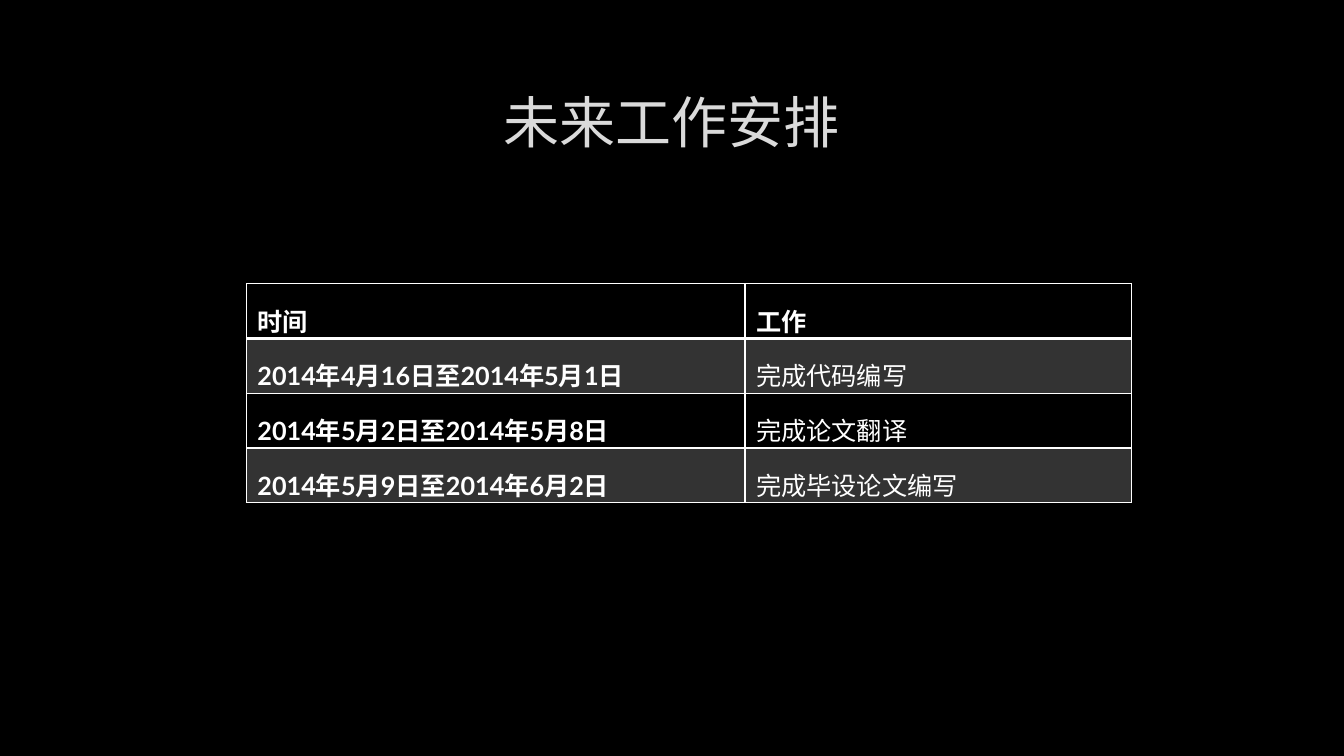
import pptx
import pptx.dml.color
import pptx.enum.text
import pptx.oxml
import pptx.oxml.ns
import pptx.util

COLORS = {
    "background": "000000",
    "title": "DADADA",
    "outline": "404040",
    "light": "FFFFFF",
}

SCHEDULE = [
    ("时间", "工作"),
    ("2014年4月16日至2014年5月1日", "完成代码编写"),
    ("2014年5月2日至2014年5月8日", "完成论文翻译"),
    ("2014年5月9日至2014年6月2日", "完成毕设论文编写"),
]


def points(value):
    return pptx.util.Pt(value)


def color(name):
    return pptx.dml.color.RGBColor.from_string(COLORS[name])


def line_xml(tag, width, color_name, alpha=100):
    return pptx.oxml.parse_xml(
        f'<a:{tag} {pptx.oxml.ns.nsdecls("a")} w="{int(points(width))}">'
        f'<a:solidFill><a:srgbClr val="{COLORS[color_name]}">'
        f'<a:alpha val="{alpha * 1000}"/></a:srgbClr></a:solidFill>'
        f'<a:prstDash val="solid"/></a:{tag}>'
    )


class SlideBuilder:
    font_name = "Lato"
    cell_format = {
        "margin_left": points(7.92),
        "margin_right": points(7.92),
        "margin_top": 0,
        "margin_bottom": 0,
    }

    def __init__(self, presentation):
        self.slide = presentation.slides.add_slide(presentation.slide_layouts[5])
        fill = self.slide.background.fill
        fill.solid()
        fill.fore_color.rgb = color("background")

    def apply(self, target, values):
        for name, value in values.items():
            setattr(target, name, value)

    def add_text(self, frame, text, size, color_name, bold, paragraph_format):
        paragraph = frame.paragraphs[0]
        self.apply(paragraph, paragraph_format)
        run = paragraph.add_run()
        run.text = text
        self.apply(run.font, {"name": self.font_name, "size": points(size), "bold": bold})
        run.font.color.rgb = color(color_name)
        return run

    def title(self, text, left, top, width, height):
        shape = self.slide.shapes.title
        self.apply(shape, {
            "left": points(left), "top": points(top),
            "width": points(width), "height": points(height),
        })
        self.apply(shape.text_frame, {
            "word_wrap": True,
            "vertical_anchor": pptx.enum.text.MSO_ANCHOR.MIDDLE,
        })
        run = self.add_text(shape.text_frame, text, 40, "title", False,
                            {"alignment": pptx.enum.text.PP_ALIGN.CENTER})
        run._r.get_or_add_rPr().insert(0, line_xml("ln", 0.75, "outline", 10))

    def table(self, rows, left, top, column_widths, row_height):
        shape = self.slide.shapes.add_table(
            len(rows), len(column_widths), points(left), points(top),
            points(sum(column_widths)), points(row_height * len(rows)))
        table = shape.table
        self.apply(table, {"first_row": False, "horz_banding": False})
        for column, width in zip(table.columns, column_widths):
            column.width = points(width)
        for row_index, texts in enumerate(rows):
            table.rows[row_index].height = points(row_height)
            for column_index, text in enumerate(texts):
                self.cell(table.cell(row_index, column_index), text,
                          bold=row_index == 0 or column_index == 0,
                          banded=row_index % 2 == 1,
                          top_width=2 if row_index == 1 else 1,
                          bottom_width=2 if row_index == 0 else 1)

    def cell(self, cell, text, bold, banded, top_width, bottom_width):
        self.apply(cell, self.cell_format)
        self.add_text(cell.text_frame, text, 18, "light", bold, {
            "alignment": pptx.enum.text.PP_ALIGN.JUSTIFY,
            "line_spacing": 1.5,
        })
        # Borders come before the fill in the cell properties
        properties = cell._tc.get_or_add_tcPr()
        borders = {"lnL": 1, "lnR": 1, "lnT": top_width, "lnB": bottom_width}
        for tag, width in borders.items():
            properties.append(line_xml(tag, width, "light"))
        if banded:
            cell.fill.solid()
            cell.fill.fore_color.rgb = color("light")
            tint = properties.find(pptx.oxml.ns.qn("a:solidFill"))[0]
            tint.append(pptx.oxml.parse_xml(
                f'<a:alpha {pptx.oxml.ns.nsdecls("a")} val="20000"/>'))
        else:
            cell.fill.background()


def main():
    presentation = pptx.Presentation()
    presentation.slide_width = points(960)
    presentation.slide_height = points(540)
    builder = SlideBuilder(presentation)

    # Heading
    builder.title("未来工作安排", 72, 48.24, 815.04, 76.32)

    # Schedule of remaining work
    builder.table(SCHEDULE, 176, 202.7, (356.2, 276.2), 28.8)

    presentation.save("out.pptx")


if __name__ == "__main__":
    main()
